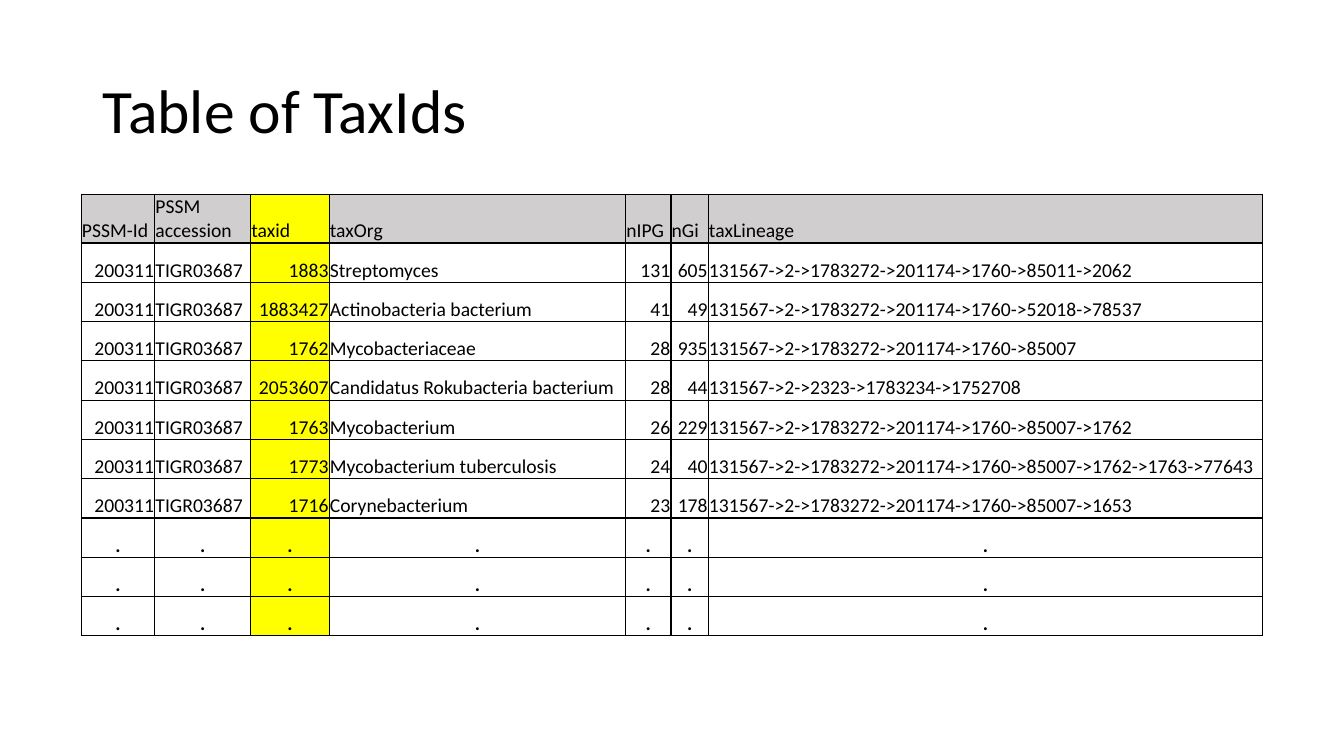
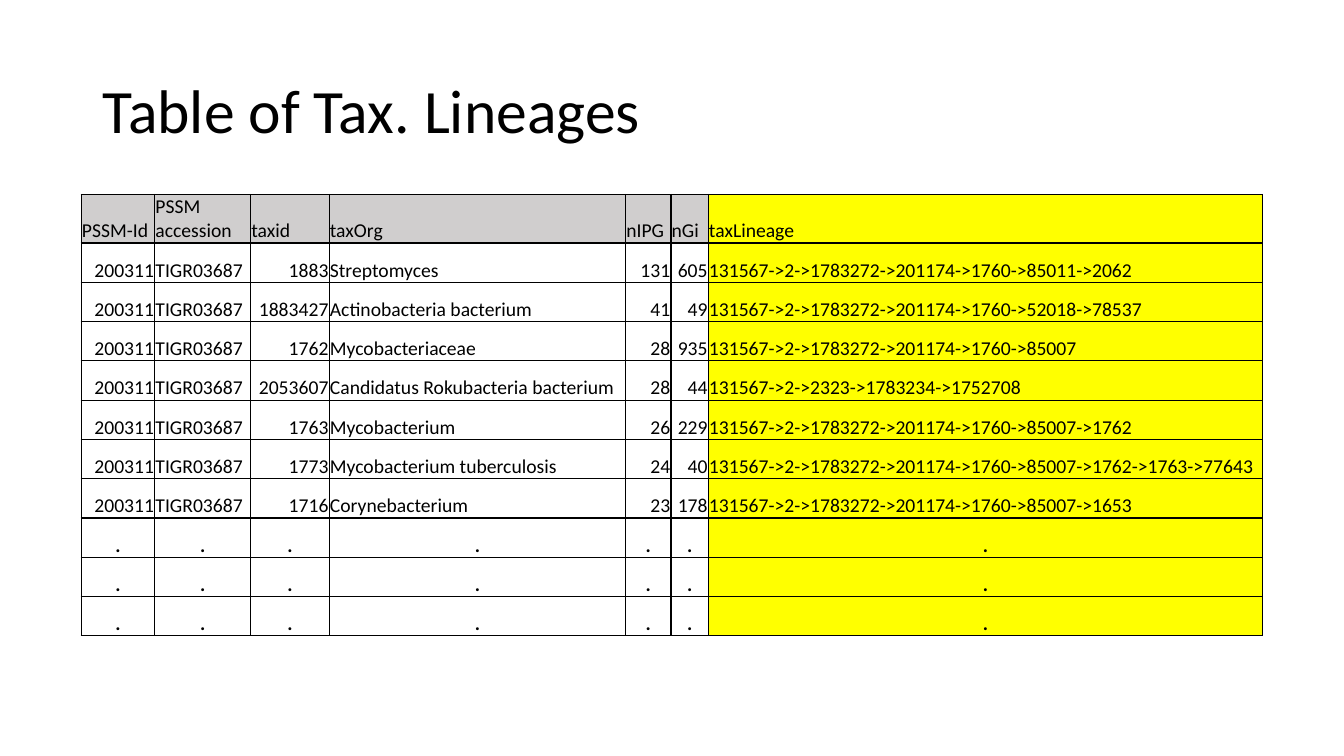
from dataclasses import dataclass
from typing import Any

from lxml.etree import SubElement
from pptx import Presentation
from pptx.dml.color import RGBColor
from pptx.enum.text import MSO_ANCHOR, MSO_AUTO_SIZE, PP_ALIGN
from pptx.oxml.ns import qn
from pptx.slide import Slide
from pptx.table import _Cell as Cell
from pptx.util import Inches, Pt

COLORS = {"text": "000000", "border": "000000", "header": "D0CECE", "highlight": "FFFF00"}
FONT = "Calibri"
BORDER_WIDTH = Pt(1)
CELL_MARGIN = Pt(0.5)
ROW_HEIGHT = Inches(0.39)
TABLE_LEFT, TABLE_TOP = Pt(58), Inches(1.93)

TITLE_POSITION = {
    "left": Inches(0.92), "top": Inches(0.4), "width": Inches(11.5), "height": Inches(1.45),
}
TITLE_FRAME = {
    "vertical_anchor": MSO_ANCHOR.MIDDLE, "word_wrap": True, "auto_size": MSO_AUTO_SIZE.NONE,
}
CELL_FORMAT = {
    "vertical_anchor": MSO_ANCHOR.BOTTOM,
    "margin_left": CELL_MARGIN, "margin_right": CELL_MARGIN,
    "margin_top": CELL_MARGIN, "margin_bottom": Inches(0),
}
TABLE_FORMAT = {"first_row": False, "horz_banding": False}


@dataclass(frozen=True)
class Column:
    heading: str
    width: float
    alignment: PP_ALIGN = PP_ALIGN.LEFT


@dataclass(frozen=True)
class TableSlide:
    title: str
    highlighted: str


COLUMNS = [
    Column("PSSM-Id", 0.73, PP_ALIGN.RIGHT),
    Column("PSSM accession", 0.95),
    Column("taxid", 0.78, PP_ALIGN.RIGHT),
    Column("taxOrg", 2.94),
    Column("nIPG", 0.45, PP_ALIGN.RIGHT),
    Column("nGi", 0.37, PP_ALIGN.RIGHT),
    Column("taxLineage", 5.5),
]
PROFILE = ("200311", "TIGR03687")
TAXA = [
    ("1883", "Streptomyces", "131", "605", "131567->2->1783272->201174->1760->85011->2062"),
    ("1883427", "Actinobacteria bacterium", "41", "49",
     "131567->2->1783272->201174->1760->52018->78537"),
    ("1762", "Mycobacteriaceae", "28", "935", "131567->2->1783272->201174->1760->85007"),
    ("2053607", "Candidatus Rokubacteria bacterium", "28", "44",
     "131567->2->2323->1783234->1752708"),
    ("1763", "Mycobacterium", "26", "229", "131567->2->1783272->201174->1760->85007->1762"),
    ("1773", "Mycobacterium tuberculosis", "24", "40",
     "131567->2->1783272->201174->1760->85007->1762->1763->77643"),
    ("1716", "Corynebacterium", "23", "178", "131567->2->1783272->201174->1760->85007->1653"),
]
CONTINUATION = "."
CONTINUATION_ROWS = 3
ROWS = [
    tuple(column.heading for column in COLUMNS),
    *(PROFILE + taxon for taxon in TAXA),
    *[(CONTINUATION,) * len(COLUMNS)] * CONTINUATION_ROWS,
]
SLIDES = [
    TableSlide("Table of TaxIds", "taxid"),
    TableSlide("Table of Tax. Lineages", "taxLineage"),
]


def apply_format(target: Any, values: dict[str, Any]) -> None:
    for name, value in values.items():
        setattr(target, name, value)


def write_text(text_frame: Any, text: str, size: int, alignment: PP_ALIGN,
               bold: bool = False, line_spacing: float = 1.0) -> None:
    paragraph = text_frame.paragraphs[0]
    apply_format(paragraph, {"alignment": alignment, "line_spacing": line_spacing})
    run = paragraph.add_run()
    run.text = text
    apply_format(run.font, {"name": FONT, "size": Pt(size), "bold": bold})
    run.font.color.rgb = RGBColor.from_string(COLORS["text"])


def add_borders(cell: Cell) -> None:
    properties = cell._tc.get_or_add_tcPr()
    for position, side in enumerate(("lnL", "lnR", "lnT", "lnB")):
        line = SubElement(properties, qn(f"a:{side}"), w=str(BORDER_WIDTH))
        fill = SubElement(line, qn("a:solidFill"))
        SubElement(fill, qn("a:srgbClr"), val=COLORS["border"])
        properties.insert(position, line)


def fill_cell(cell: Cell, color: str | None) -> None:
    if color is None:
        cell.fill.background()
    else:
        cell.fill.solid()
        cell.fill.fore_color.rgb = RGBColor.from_string(COLORS[color])


def draw_cell(cell: Cell, text: str, column: Column, is_header: bool, highlighted: bool) -> None:
    is_continuation = text == CONTINUATION
    alignment = column.alignment
    if is_header:
        alignment = PP_ALIGN.LEFT
    elif is_continuation:
        alignment = PP_ALIGN.CENTER
    apply_format(cell, CELL_FORMAT)
    write_text(cell.text_frame, text, 14, alignment, bold=is_continuation)
    fill_cell(cell, "highlight" if highlighted else "header" if is_header else None)
    add_borders(cell)


def draw_title(slide: Slide, text: str) -> None:
    title = slide.shapes.title
    apply_format(title, TITLE_POSITION)
    apply_format(title.text_frame, TITLE_FRAME)
    write_text(title.text_frame, text, 44, PP_ALIGN.LEFT, line_spacing=0.9)


def draw_table(slide: Slide, highlighted: str) -> None:
    width = Inches(sum(column.width for column in COLUMNS))
    table = slide.shapes.add_table(
        len(ROWS), len(COLUMNS), TABLE_LEFT, TABLE_TOP, width, ROW_HEIGHT * len(ROWS)
    ).table
    apply_format(table, TABLE_FORMAT)
    for table_column, column in zip(table.columns, COLUMNS):
        table_column.width = Inches(column.width)
    for row_index, row in enumerate(ROWS):
        table.rows[row_index].height = ROW_HEIGHT
        for column_index, (text, column) in enumerate(zip(row, COLUMNS)):
            draw_cell(table.cell(row_index, column_index), text, column,
                      row_index == 0, column.heading == highlighted)


def main() -> None:
    presentation = Presentation()
    apply_format(presentation, {"slide_width": Inches(13.33), "slide_height": Inches(7.5)})
    title_only = presentation.slide_layouts.get_by_name("Title Only")
    for content in SLIDES:
        slide = presentation.slides.add_slide(title_only)
        draw_title(slide, content.title)
        draw_table(slide, content.highlighted)
    presentation.save("out.pptx")


if __name__ == "__main__":
    main()
